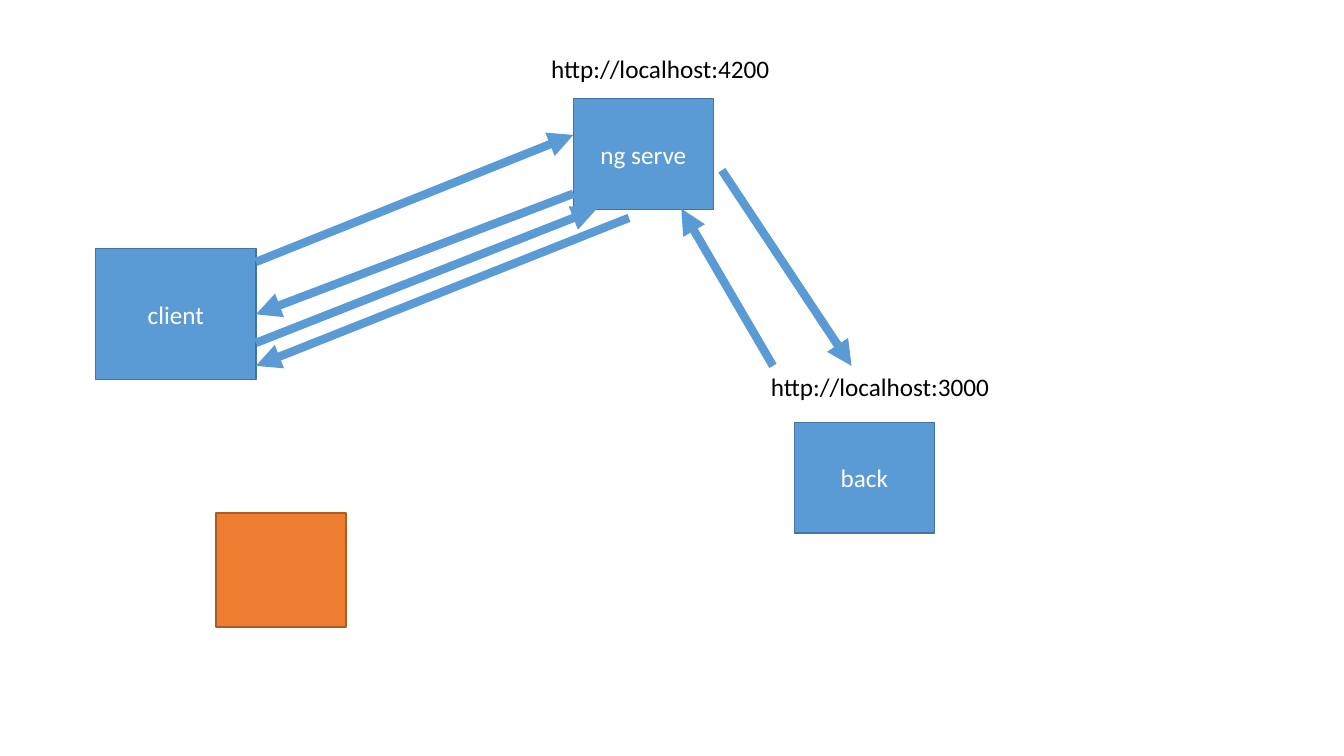
from lxml import etree
from pptx import Presentation
from pptx.dml.color import RGBColor
from pptx.enum import shapes, text
from pptx.oxml.ns import qn
from pptx.util import Cm, Pt

HUES = {
    "blue": "5B9BD5",
    "navy": "43739E",
    "orange": "ED7D31",
    "rust": "AF5C24",
    "white": "FFFFFF",
    "black": "000000",
}


def hue(name):
    return RGBColor.from_string(HUES[name])


def write(frame, words, color):
    """Add one run of 18 pt text to the first paragraph of the frame."""
    run = frame.paragraphs[0].add_run()
    run.text = words
    run.font.name = "Calibri"
    run.font.size = Pt(18)
    run.font.color.rgb = hue(color)


deck = Presentation()
deck.slide_width, deck.slide_height = Cm(33.87), Cm(19.05)
slide = deck.slides.add_slide(deck.slide_layouts[6])

# Boxes: label, left, top, width, height, fill, edge
boxes = {}
for label, left, top, width, height, fill, edge in [
    ("client", 2.41, 6.27, 4.04, 3.3, "blue", "navy"),
    ("ng serve", 14.45, 2.49, 3.53, 2.79, "blue", "navy"),
    ("back", 20.02, 10.64, 3.53, 2.79, "blue", "navy"),
    ("", 5.44, 12.93, 3.28, 2.87, "orange", "rust"),
]:
    box = slide.shapes.add_shape(
        shapes.MSO_SHAPE.RECTANGLE, Cm(left), Cm(top), Cm(width), Cm(height))
    box.shadow.inherit = False
    box.fill.solid()
    box.fill.fore_color.rgb = hue(fill)
    box.line.color.rgb = hue(edge)
    box.line.width = Pt(1)
    if label:
        frame = box.text_frame
        frame.vertical_anchor = text.MSO_ANCHOR.MIDDLE
        frame.paragraphs[0].alignment = text.PP_ALIGN.CENTER
        write(frame, label, "white")
    boxes[label] = box

# Server addresses
for address, left, top in [
    ("http://localhost:4200", 13.64, 1.22),
    ("http://localhost:3000", 19.18, 9.22),
]:
    note = slide.shapes.add_textbox(Cm(left), Cm(top), Cm(6.1), Cm(1.02))
    note.text_frame.word_wrap = False
    note.text_frame.auto_size = text.MSO_AUTO_SIZE.SHAPE_TO_FIT_TEXT
    write(note.text_frame, address, "black")

# Requests and replies: start x, y, end x, y, box whose right side is met
for x1, y1, x2, y2, goal in [
    (6.45, 6.6, 14.45, 3.4, None),
    (14.45, 4.88, 6.45, 7.92, "client"),
    (6.45, 8.64, 15.04, 5.26, None),
    (15.85, 5.49, 6.45, 9.22, None),
    (18.19, 4.29, 21.46, 9.22, None),
    (19.48, 9.22, 17.17, 5.26, None),
]:
    arrow = slide.shapes.add_connector(
        shapes.MSO_CONNECTOR.STRAIGHT, Cm(x1), Cm(y1), Cm(x2), Cm(y2))
    if goal:
        arrow.end_connect(boxes[goal], 3)
    arrow.line.color.rgb = hue("blue")
    arrow.line.width = Pt(6)
    etree.SubElement(arrow.line._get_or_add_ln(), qn("a:tailEnd"), type="triangle")
    etree.SubElement(arrow._element.spPr, qn("a:effectLst"))

deck.save("out.pptx")
